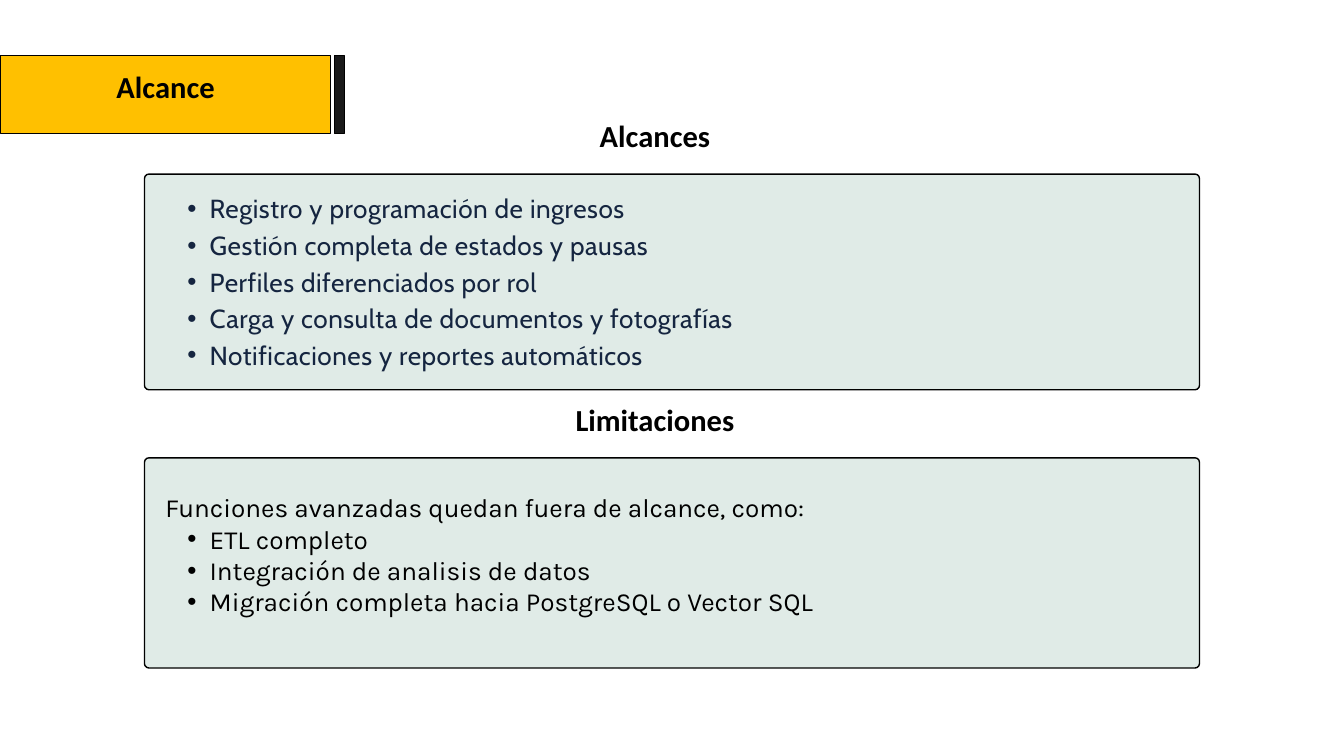
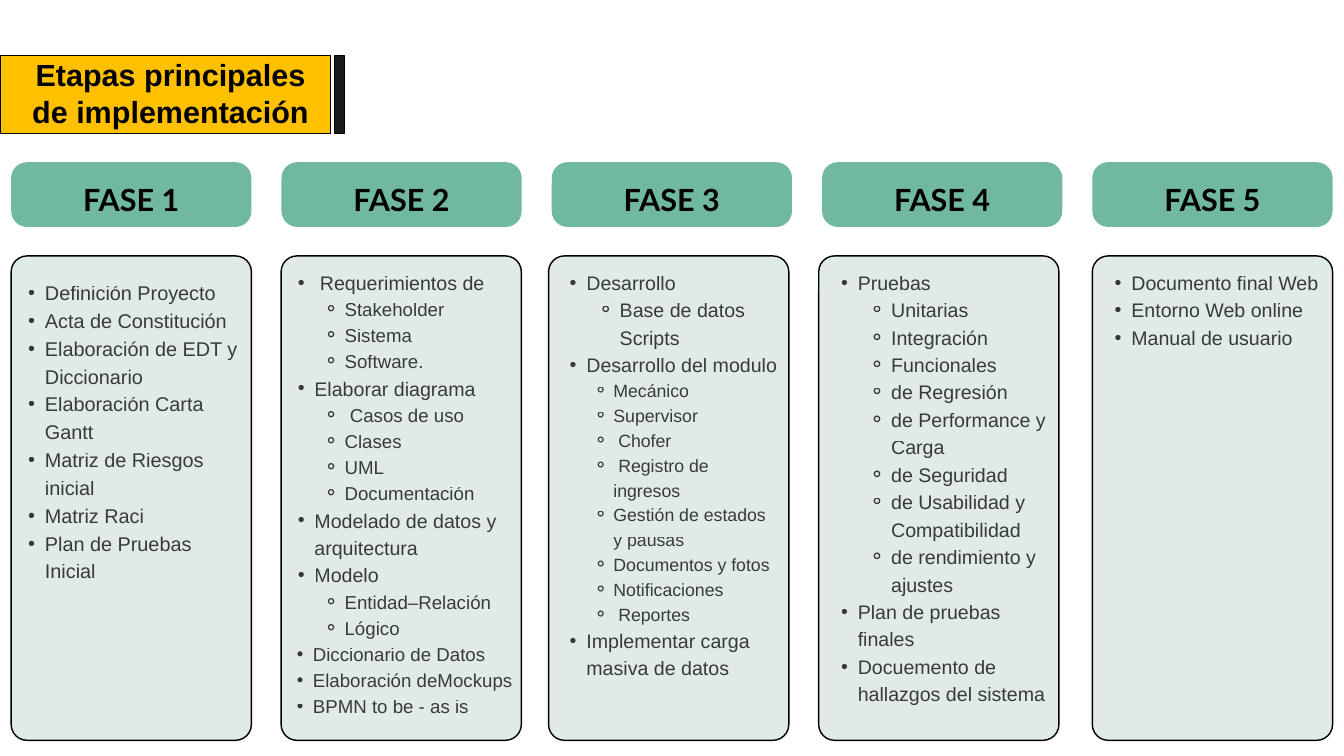
from lxml import etree
from pptx import Presentation
from pptx import util as u
from pptx.dml.color import RGBColor
from pptx.enum import shapes, text
from pptx.oxml.ns import qn

C = {"band": "FFC000", "bar": "1A1A1A", "black": "000000",
     "panel": "E0EBE7", "phase": "70B8A2", "navy": "152540"}
BULLETS = {1: "•", 2: "⚬"}
RECT = shapes.MSO_SHAPE.RECTANGLE
ROUND = shapes.MSO_SHAPE.ROUNDED_RECTANGLE
LEFT, CENTER, JUSTIFY = text.PP_ALIGN.LEFT, text.PP_ALIGN.CENTER, text.PP_ALIGN.JUSTIFY
HEAD = 32.7


def add_box(s, kind, at, fill, line=0, radius=0):
    sp = s.shapes.add_shape(kind, *[u.Pt(v) for v in at])
    sp.shadow.inherit = False
    sp.fill.solid()
    sp.fill.fore_color.rgb = RGBColor.from_string(C[fill])
    if line:
        sp.line.color.rgb = RGBColor.from_string(C["black"])
        sp.line.width = u.Pt(line)
    else:
        sp.line.fill.background()
    if radius:
        sp.adjustments[0] = radius / min(at[2:])
    return sp


def write(sp, items, font, spacing, align=LEFT, color="black", bold=False,
          wrap=True, anchor=text.MSO_ANCHOR.TOP, alpha=None, tracking=None):
    tf = sp.text_frame
    tf.margin_left = tf.margin_right = tf.margin_top = tf.margin_bottom = 0
    tf.auto_size = text.MSO_AUTO_SIZE.NONE
    tf.word_wrap = wrap
    tf.vertical_anchor = anchor
    for i, (level, size, words) in enumerate(items):
        p = tf.add_paragraph() if i else tf.paragraphs[0]
        p.text = words
        p.alignment = align
        p.line_spacing = u.Pt(size * spacing)
        if level:
            p.level = level
            indent = 1.7 * size * level
            pPr = p._p.get_or_add_pPr()
            pPr.set("marL", str(u.Pt(indent)))
            pPr.set("indent", str(-u.Pt(indent / (level + 1))))
            etree.SubElement(pPr, qn("a:buFont")).set("typeface", "Arial")
            etree.SubElement(pPr, qn("a:buChar")).set("char", BULLETS[level])
        r = p.runs[0]
        r.font.name = font
        r.font.size = u.Pt(size)
        r.font.bold = bold
        r.font.color.rgb = RGBColor.from_string(C[color])
        rPr = r._r.get_or_add_rPr()
        if alpha:
            clr = rPr.find(".//" + qn("a:srgbClr"))
            etree.SubElement(clr, qn("a:alpha")).set("val", str(alpha * 1000))
        if tracking:
            rPr.set("spc", str(int(tracking * 100)))


prs = Presentation()
prs.slide_width, prs.slide_height = u.Pt(1440), u.Pt(810)

titles = [
    ("Alcance", "Calibri", (124.6, 72.7, 105.8, 43.9), False, text.MSO_ANCHOR.TOP),
    ("Etapas principales de implementación", "Arial", (27.4, 59, 311, 81.4), True,
     text.MSO_ANCHOR.MIDDLE),
]
slides = []
for words, font, at, wrap, anchor in titles:
    s = prs.slides.add_slide(prs.slide_layouts[5])
    add_box(s, RECT, (0, 59.3, 354.5, 83.7), "band", 1)
    bar = add_box(s, RECT, (358, 59.3, 10.8, 83.7), "bar", 1)
    title = s.shapes.title
    bar.element.addnext(title.element)
    title.left, title.top, title.width, title.height = [u.Pt(v) for v in at]
    write(title, [(0, HEAD, words)], font, 1.2, CENTER, bold=True, wrap=wrap, anchor=anchor)
    slides.append(s)
scope, stages = slides

sections = [
    ("Alcances", 125.3, (186.5, 231.1), (200.9, 193.7),
     [(1, 28, "Registro y programación de ingresos"),
      (1, 28, "Gestión completa de estados y pausas"),
      (1, 28, "Perfiles diferenciados por rol"),
      (1, 28, "Carga y consulta de documentos y fotografías"),
      (1, 28, "Notificaciones y reportes automáticos")],
     {"font": "Cabin", "spacing": 1.4, "color": "navy", "tracking": 0.6}),
    ("Limitaciones", 429.1, (490.5, 225.2), (527, 131.8),
     [(0, 28, "Funciones avanzadas quedan fuera de alcance, como:"),
      (1, 28, "ETL completo"),
      (1, 28, "Integración de analisis de datos"),
      (1, 28, "Migración completa hacia PostgreSQL o Vector SQL")],
     {"font": "Karla", "spacing": 1.2, "align": JUSTIFY}),
]
for heading, top, panel, body, items, style in sections:
    sp = scope.shapes.add_textbox(u.Pt(616.5), u.Pt(top), u.Pt(170.6), u.Pt(43.9))
    write(sp, [(0, HEAD, heading)], "Calibri", 1.2, CENTER, bold=True, wrap=False)
    add_box(scope, ROUND, (154.8, panel[0], 1130.4, panel[1]), "panel", 1.5, 4.8)
    sp = scope.shapes.add_textbox(u.Pt(177.1), u.Pt(body[0]), u.Pt(1080), u.Pt(body[1]))
    write(sp, items, **style)

phases = [
    (12, 12, 296.6, 244.1, 321.1, [
        (1, 21.3, ["Definición Proyecto", "Acta de Constitución",
                   "Elaboración de EDT y Diccionario", "Elaboración Carta Gantt",
                   "Matriz de Riesgos inicial", "Matriz Raci", "Plan de Pruebas Inicial"])]),
    (301.2, 301.2, 285.8, 250.6, 506.9, [
        (1, 21, [" Requerimientos de"]),
        (2, 20, ["Stakeholder", "Sistema", "Software."]),
        (1, 21, ["Elaborar diagrama"]),
        (2, 20, [" Casos de uso", "Clases", "UML", "Documentación"]),
        (1, 21, ["Modelado de datos y arquitectura", "Modelo"]),
        (2, 20, ["Entidad–Relación", "Lógico"]),
        (1, 20, ["Diccionario de Datos", "Elaboración deMockups", "BPMN to be - as is"])]),
    (587.8, 592.6, 285.8, 241.2, 437.8, [
        (1, 21, ["Desarrollo"]),
        (2, 21, ["Base de datos Scripts"]),
        (1, 21, ["Desarrollo del modulo"]),
        (2, 19, ["Mecánico", "Supervisor", " Chofer", " Registro de ingresos",
                 "Gestión de estados y pausas", "Documentos y fotos",
                 "Notificaciones", " Reportes"]),
        (1, 21, ["Implementar carga masiva de datos"])]),
    (877.2, 883.4, 285.8, 237.6, 467.3, [
        (1, 21, ["Pruebas"]),
        (2, 21, ["Unitarias", "Integración", "Funcionales", "de Regresión",
                 "de Performance y Carga", "de Seguridad",
                 "de Usabilidad y Compatibilidad", "de rendimiento y ajustes"]),
        (1, 21, ["Plan de pruebas finales", "Docuemento de hallazgos del sistema"])]),
    (1170.4, 1176.5, 285.8, 246.2, 87.1, [
        (1, 21, ["Documento final Web", "Entorno Web online", "Manual de usuario"])]),
]
for i, (panel_x, body_x, body_y, body_w, body_h, groups) in enumerate(phases):
    sp = add_box(stages, ROUND, (12 + 289.6 * i, 173.8, 257.4, 69.4), "phase", radius=17)
    write(sp, [(0, HEAD, f"FASE {i + 1}")], "Lato", 1.4, CENTER, bold=True)
    sp.text_frame.margin_top = u.Pt(9.1)
    add_box(stages, ROUND, (panel_x, 274.2, 257.4, 519), "panel", 1.5, 17)
    sp = stages.shapes.add_textbox(u.Pt(body_x), u.Pt(body_y), u.Pt(body_w), u.Pt(body_h))
    items = [(level, size, words) for level, size, lines in groups for words in lines]
    write(sp, items, "Arial", 1.4, alpha=75)

prs.save("out.pptx")
